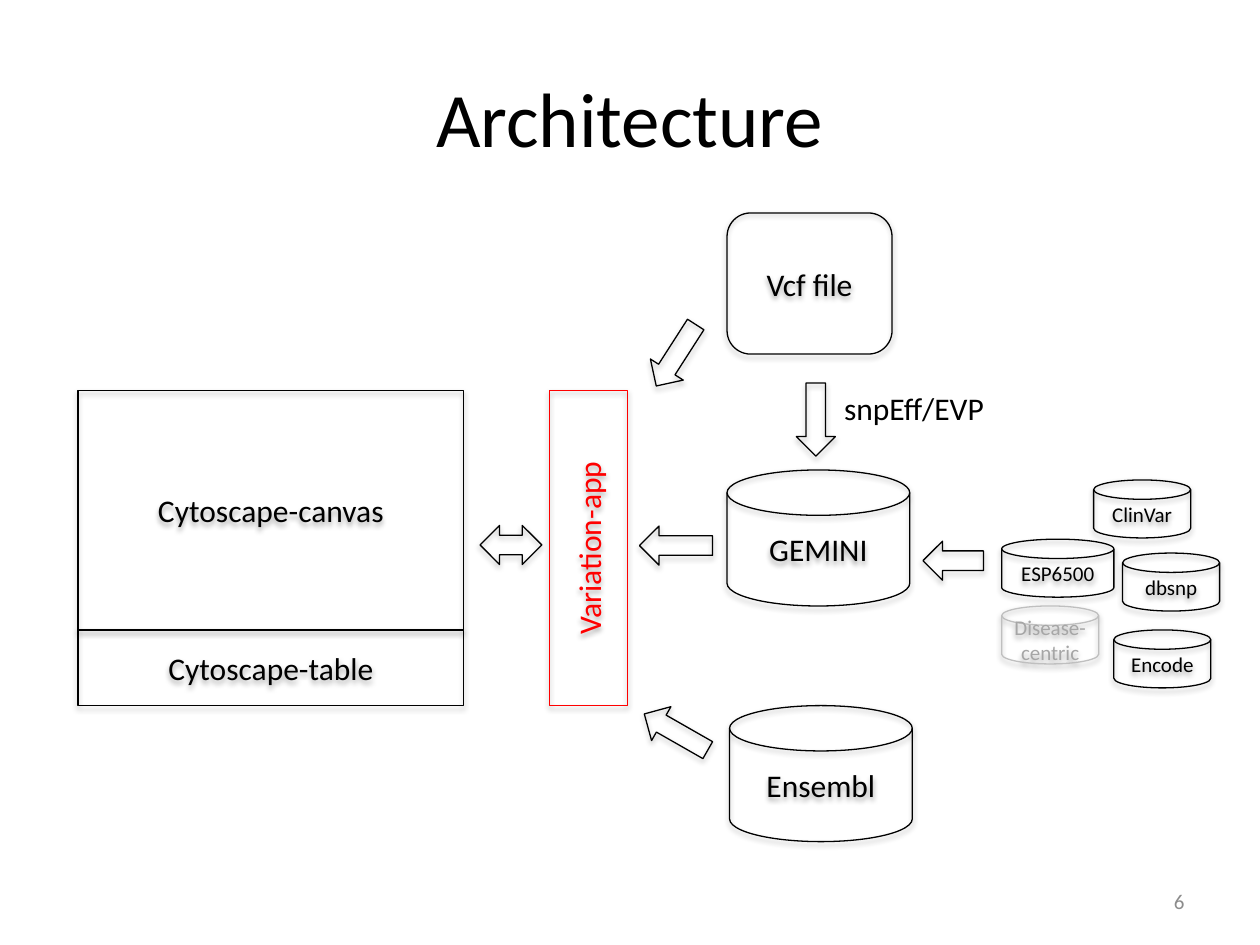
from dataclasses import dataclass

import pptx
import pptx.dml.color
import pptx.enum.shapes
import pptx.enum.text
import pptx.oxml
import pptx.oxml.ns
import pptx.util

Inches = pptx.util.Inches
Kind = pptx.enum.shapes.MSO_SHAPE
Align = pptx.enum.text.PP_ALIGN
Anchor = pptx.enum.text.MSO_ANCHOR

BLACK = "000000"
RED = "FF0000"
DISK = Kind.FLOWCHART_MAGNETIC_DISK
PANEL = Kind.FLOWCHART_PROCESS
SHADOW = (
    '<a:outerShdw xmlns:a="http://schemas.openxmlformats.org/drawingml/2006/main"'
    ' blurRad="40000" dist="23000" dir="5400000" rotWithShape="0">'
    '<a:srgbClr val="000000"><a:alpha val="35000"/></a:srgbClr></a:outerShdw>'
)


@dataclass
class Node:
    text: str
    kind: Kind
    left: float
    top: float
    width: float
    height: float
    size: int = 18
    line: str = BLACK
    ink: str = BLACK
    upright: bool = False


@dataclass
class Arrow:
    left: float
    top: float
    length: float = 0.58
    turn: float = 0


@dataclass
class Label:
    text: str
    left: float
    top: float
    width: float
    height: float
    size: int
    ink: str = BLACK
    align: Align = Align.LEFT
    anchor: Anchor = Anchor.TOP


def store(text: str, left: float, top: float, width: float = 0.77,
          line: str = BLACK, ink: str = BLACK) -> Node:
    """Describe a small annotation database."""
    return Node(text, DISK, left, top, width, 0.46, 12, line, ink)


NODES = [
    Node("Cytoscape-canvas", PANEL, 0.62, 3.1, 3.06, 1.9),
    Node("Cytoscape-table", PANEL, 0.62, 5.0, 3.06, 0.6),
    Node("Variation-app", PANEL, 4.36, 3.1, 0.62, 2.5,
         line=RED, ink=RED, upright=True),
    Node("Vcf file", Kind.FLOWCHART_ALTERNATE_PROCESS, 5.77, 1.69, 1.31, 1.12),
    Node("GEMINI", DISK, 5.77, 3.73, 1.45, 1.08),
    Node("Ensembl", DISK, 5.79, 5.6, 1.45, 1.08),
    store("ClinVar", 8.68, 3.81),
    store("dbsnp", 8.91, 4.39),
    store("ESP6500", 7.95, 4.28, width=0.89),
    store("Encode", 8.84, 5.0),
    store("Disease-centric", 7.95, 4.81, line="BFBFBF", ink="A6A6A6"),
]

ARROWS = [
    Arrow(5.21, 4.04, turn=90),
    Arrow(6.32, 3.04),
    Arrow(5.21, 2.53, turn=32.7),
    Arrow(5.21, 5.52, turn=119.7),
    Arrow(7.41, 4.21, length=0.48, turn=90),
]

LABELS = [
    Label("Architecture", 0.5, 0.3, 9, 1.25, 44,
          align=Align.CENTER, anchor=Anchor.MIDDLE),
    Label("snpEff/EVP", 6.6, 3.04, 1.35, 0.4, 18),
    Label("6", 7.17, 6.95, 2.33, 0.4, 12, "8C8C8C",
          Align.RIGHT, Anchor.MIDDLE),
]


def tint(code: str) -> pptx.dml.color.RGBColor:
    return pptx.dml.color.RGBColor.from_string(code)


def write(shape, text: str, size: int, ink: str, align: Align,
          anchor: Anchor) -> None:
    frame = shape.text_frame
    frame.text = text
    frame.word_wrap = True
    frame.vertical_anchor = anchor
    para = frame.paragraphs[0]
    para.alignment = align
    font = para.runs[0].font
    font.name = "Calibri"
    font.size = pptx.util.Pt(size)
    font.color.rgb = tint(ink)


def outline(slide, kind: Kind, left: float, top: float, width: float,
            height: float, line: str = BLACK):
    """Add an unfilled shape with a thin line and a soft shadow."""
    shape = slide.shapes.add_shape(
        kind, Inches(left), Inches(top), Inches(width), Inches(height))
    shape.fill.background()
    shape.line.color.rgb = tint(line)
    shape.line.width = pptx.util.Pt(0.75)
    shape.shadow.inherit = False
    effects = shape._element.spPr.find(pptx.oxml.ns.qn("a:effectLst"))
    effects.append(pptx.oxml.parse_xml(SHADOW))
    return shape


def draw_node(slide, node: Node) -> None:
    shape = outline(slide, node.kind, node.left, node.top,
                    node.width, node.height, node.line)
    write(shape, node.text, node.size, node.ink, Align.CENTER, Anchor.MIDDLE)
    if node.upright:
        shape.text_frame._txBody.bodyPr.set("vert", "vert270")


def draw_arrow(slide, arrow: Arrow) -> None:
    shape = outline(slide, Kind.DOWN_ARROW, arrow.left, arrow.top,
                    0.31, arrow.length)
    shape.rotation = arrow.turn


def draw_label(slide, label: Label) -> None:
    box = slide.shapes.add_textbox(
        Inches(label.left), Inches(label.top),
        Inches(label.width), Inches(label.height))
    write(box, label.text, label.size, label.ink, label.align, label.anchor)


def main() -> None:
    deck = pptx.Presentation()
    deck.slide_width = Inches(10)
    deck.slide_height = Inches(7.5)
    slide = deck.slides.add_slide(deck.slide_layouts[6])
    for node in NODES:
        draw_node(slide, node)
    for arrow in ARROWS:
        draw_arrow(slide, arrow)
    outline(slide, Kind.LEFT_RIGHT_ARROW, 3.81, 4.17, 0.49, 0.31)
    for label in LABELS:
        draw_label(slide, label)
    deck.save("out.pptx")


if __name__ == "__main__":
    main()
